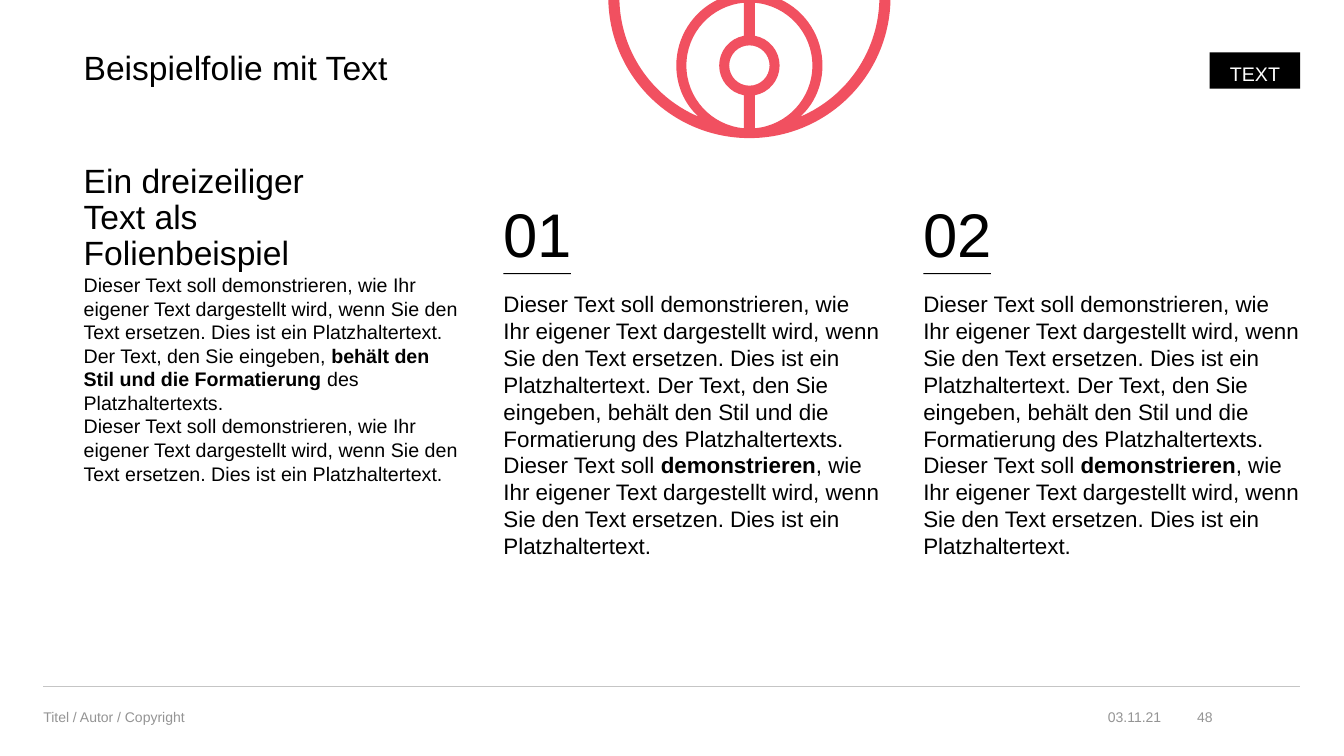
import math
from pptx import Presentation
from pptx import util as u
from pptx.dml.color import RGBColor
from pptx.enum import shapes, text
from pptx.oxml import ns, xmlchemy

# Content: ** switches bold on and off, a line feed breaks the line
TITLE = "Beispielfolie mit Text"
TAG = "TEXT"
HEADING = "Ein dreizeiliger\nText als \nFolienbeispiel"
DEMO = ("Dieser Text soll demonstrieren, wie Ihr eigener Text dargestellt wird, "
        "wenn Sie den Text ersetzen. Dies ist ein Platzhaltertext.")
INTRO = [
    DEMO + " Der Text, den Sie eingeben, **behält den Stil und die Formatierung **"
           "des Platzhaltertexts.",
    DEMO,
]
NUMBERED = [
    DEMO + " Der Text, den Sie eingeben, behält den Stil und die Formatierung "
           "des Platzhaltertexts.",
    DEMO.replace("demonstrieren", "**demonstrieren**"),
]
NUMBERS = ["01", "02"]
FOOTER = [  # text, left, width, alignment
    ("Titel / Autor / Copyright", 0.43, 6.07, "LEFT"),
    ("03.11.21", 10.77, 0.75, "RIGHT"),
    ("48", 11.72, 0.31, "RIGHT"),
]
COLORS = {"ink": "000000", "paper": "FFFFFF", "muted": "949494",
          "rule": "C5C5C5", "accent": "F15060"}
FONT = "Arial"

# Grid in inches
WIDTH, HEIGHT = 40 / 3, 7.5
MARGIN, RIGHT = 0.43, 12.9
COLUMN_LEFT, COLUMN_STEP, COLUMN_WIDTH = 0.83, 4.165, 3.74
HEAD_BOTTOM, BODY_TOP, BODY_BOTTOM = 2.71, 2.88, 6.18
HEAD_HEIGHT = 1.06
HEAD_SPACING = 0.9

# Ornament outlines: arcs as (centre y, radius, from degree, to degree)
ORNAMENT_X, ORNAMENT_Y = 7.435, -0.7
BIG, RING = 0.67, 1.35  # offsets of the big circles and of the end rings
OUTLINE = [(BIG, 1.4, -28.6, 208.6), (-BIG, 1.4, 151.4, 388.6)]
LENS = [(0, 0.725, 45.8, -45.8), (BIG, 1.29, -67, -31.2), (-BIG, 1.29, 31.2, 67)]
CRESCENT = [(BIG, 1.29, 0, 67), (RING, 0.725, 45.3, -65.2),
            (-BIG, 1.4, 77.3, 33.5), (BIG, 1.29, -26.1, 0)]

presentation = Presentation()
presentation.slide_width, presentation.slide_height = u.Inches(WIDTH), u.Inches(HEIGHT)
slide = presentation.slides.add_slide(presentation.slide_layouts[4])
placeholders = {item.placeholder_format.idx: item for item in slide.placeholders}


def color(name):
    return RGBColor.from_string(COLORS[name])


def paint(shape, name):
    shape.shadow.inherit = False
    shape.fill.solid()
    shape.fill.fore_color.rgb = color(name)
    shape.line.fill.background()
    return shape


def rectangle(left, top, width, height, name):
    return paint(slide.shapes.add_shape(
        shapes.MSO_SHAPE.RECTANGLE, *map(u.Inches, (left, top, width, height))), name)


def write(shape, paragraphs, box=None, size=14, ink="ink", align="LEFT", anchor="TOP",
          spacing=1.0, after=0, insets=(0, 0), wrap=True):
    if box:
        shape.left, shape.top, shape.width, shape.height = map(u.Inches, box)
    frame = shape.text_frame
    frame.auto_size = text.MSO_AUTO_SIZE.NONE
    frame.word_wrap = wrap
    frame.vertical_anchor = text.MSO_ANCHOR[anchor]
    frame.margin_left = frame.margin_right = u.Inches(insets[0])
    frame.margin_top = frame.margin_bottom = u.Inches(insets[1])
    for index, content in enumerate(paragraphs):
        paragraph = frame.add_paragraph() if index else frame.paragraphs[0]
        paragraph.alignment = text.PP_ALIGN[align]
        paragraph.line_spacing = spacing
        paragraph.space_before, paragraph.space_after = u.Pt(0), u.Pt(after)
        if shape.is_placeholder:
            properties = paragraph._p.get_or_add_pPr()
            properties.set("marL", "0")
            properties.set("indent", "0")
            properties.append(xmlchemy.OxmlElement("a:buNone"))
        for part, words in enumerate(content.split("**")):
            for row, line in enumerate(words.split("\n")):
                if row:
                    paragraph.add_line_break()
                run = paragraph.add_run()
                run.text = line
                run.font.name, run.font.size = FONT, u.Pt(size)
                run.font.bold = part % 2 == 1
                run.font.color.rgb = color(ink)
    return shape


def text_box(paragraphs, box, **style):
    return write(slide.shapes.add_textbox(*map(u.Inches, box)), paragraphs, **style)


def arc_points(center_y, radius, start, end):
    """Start point, then three Bézier points for each piece of the arc."""
    corners = [angle for angle in range(-360, 541, 90)
               if min(start, end) < angle < max(start, end)]
    stops = [start] + sorted(corners, reverse=start > end) + [end]
    points = [(radius * math.cos(math.radians(start)),
               center_y + radius * math.sin(math.radians(start)))]
    for first, last in zip(map(math.radians, stops), map(math.radians, stops[1:])):
        pull = 4 / 3 * math.tan((last - first) / 4)
        for angle, reach in ((first, pull), (last, -pull), (last, 0)):
            points.append((radius * (math.cos(angle) - reach * math.sin(angle)),
                           center_y + radius * (math.sin(angle) + reach * math.cos(angle))))
    return points


def contour(arcs, flip_x=1, flip_y=1):
    points = []
    for arc in arcs:
        start, *curve = arc_points(*arc)
        if not points:
            points = [start]
        elif math.dist(points[-1], start) > 0.03:
            points += [points[-1], start, start]  # straight joint
        points += curve
    return [(u.Inches(ORNAMENT_X + flip_x * x), u.Inches(ORNAMENT_Y + flip_y * y))
            for x, y in points]


# Ornament at the top edge
contours = [contour(OUTLINE)]
for center in (-RING, 0, RING):
    contours.append(contour([(center, 0.2, 0, 360)]))
    gap = [(center, 0.3, 79.4, -79.4), (center, 0.625, -85, 85)]
    contours += [contour(gap, side) for side in (-1, 1)]
for side in (-1, 1):
    contours.append(contour(LENS, side))
    contours += [contour(CRESCENT, side, half) for half in (-1, 1)]
builder = slide.shapes.build_freeform(*contours[0][0])
for index, points in enumerate(contours):
    if index:
        builder.move_to(*points[0])
    builder.add_line_segments(points[1:], close=True)
ornament = paint(builder.convert_to_shape(), "accent")
segments = list(ornament._element.iter(ns.qn("a:lnTo")))
for index in range(0, len(segments), 3):
    curve = xmlchemy.OxmlElement("a:cubicBezTo")
    segments[index].addprevious(curve)
    for segment in segments[index:index + 3]:
        curve.append(segment[0])
        segment.getparent().remove(segment)

# Title and tag
write(placeholders[0], [TITLE], (COLUMN_LEFT, 0.51, RIGHT - COLUMN_LEFT, 0.36), size=24,
      spacing=HEAD_SPACING)
write(rectangle(12, 0.52, 0.9, 0.36, "ink"), [TAG], ink="paper", align="RIGHT",
      spacing=1.2, after=10, insets=(0.2, 0.05), wrap=False)

# Intro column
write(placeholders[4], [HEADING],
      (COLUMN_LEFT, HEAD_BOTTOM - HEAD_HEIGHT, COLUMN_WIDTH, HEAD_HEIGHT),
      size=24, anchor="BOTTOM", spacing=HEAD_SPACING)
write(placeholders[1], INTRO,
      (COLUMN_LEFT, HEAD_BOTTOM, COLUMN_WIDTH, BODY_BOTTOM - HEAD_BOTTOM))

# Numbered columns
for column, number in enumerate(NUMBERS, start=1):
    left = COLUMN_LEFT + column * COLUMN_STEP
    text_box([number], (left, 1.63, COLUMN_WIDTH, HEAD_HEIGHT), size=44,
             anchor="BOTTOM", spacing=HEAD_SPACING)
    rectangle(left, HEAD_BOTTOM, 0.67, 0.01, "ink")
    write(placeholders[column + 1], NUMBERED,
          (left, BODY_TOP, COLUMN_WIDTH, BODY_BOTTOM - BODY_TOP), size=16)

# Footer
rule = slide.shapes.add_connector(shapes.MSO_CONNECTOR.STRAIGHT,
                                  *map(u.Inches, (MARGIN, 6.81, RIGHT, 6.81)))
rule.line.color.rgb, rule.line.width = color("rule"), u.Pt(0.5)
rule._element.find(ns.qn("p:spPr")).append(xmlchemy.OxmlElement("a:effectLst"))
for label, left, width, align in FOOTER:
    text_box([label], (left, 6.92, width, 0.39), size=10, ink="muted", align=align,
             anchor="MIDDLE")

presentation.save("out.pptx")
